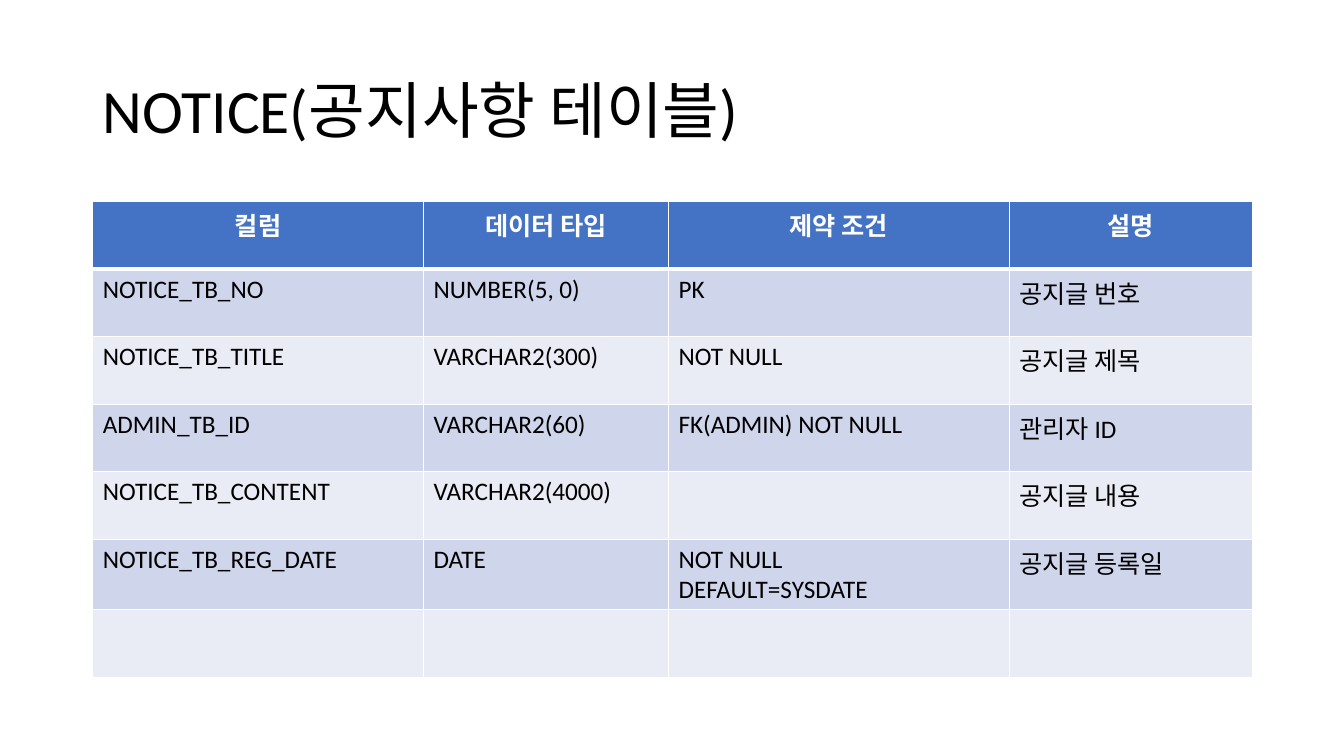
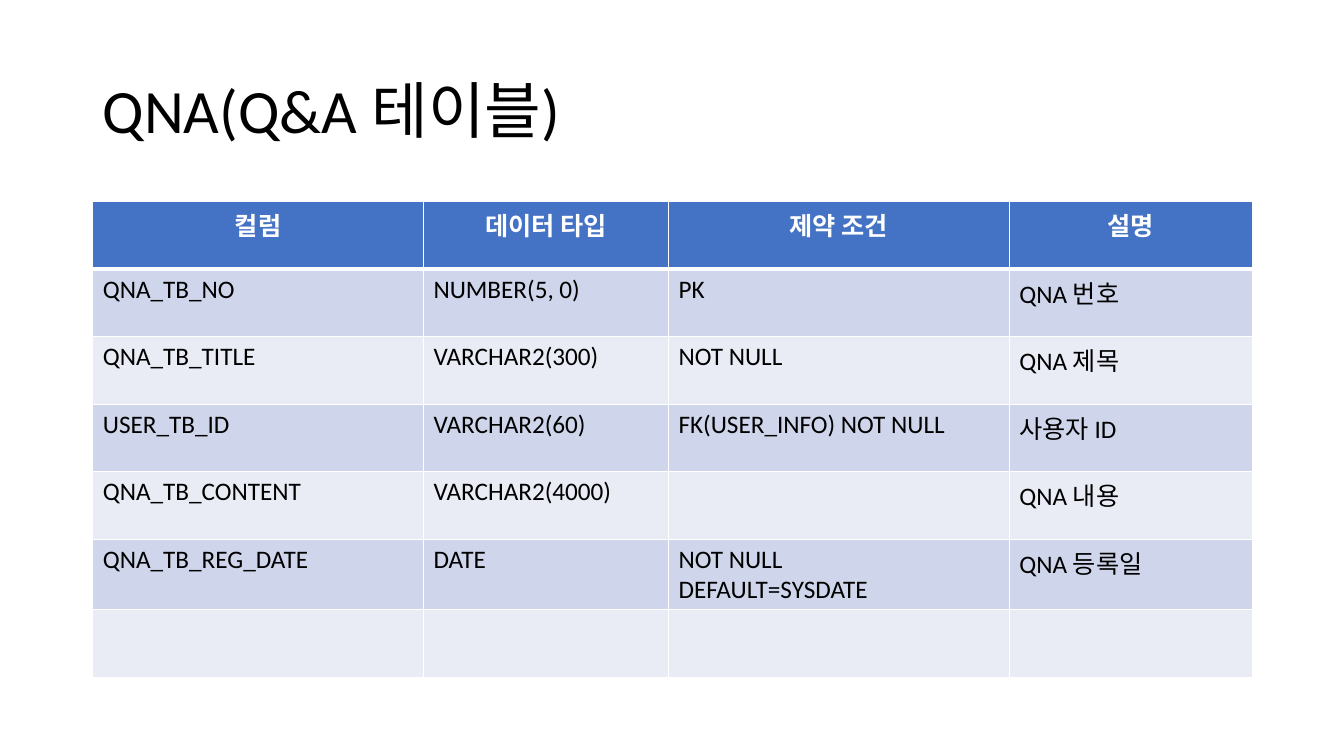
from lxml.etree import SubElement
from pptx import Presentation
from pptx.dml.color import RGBColor
from pptx.enum.text import MSO_ANCHOR as Anchor, PP_ALIGN as Align
from pptx.oxml.ns import qn
from pptx.util import Inches, Pt

# Shared style
FONT = "Calibri"
BLACK, WHITE = "000000", "FFFFFF"
HEADER_FILL = "4472C4"
BAND_FILLS = ("CFD5EA", "E9EBF5")
LEFT, WIDTH = 0.92, 11.5
COLUMN_WIDTHS = (3.28, 2.43, 3.38, 2.41)
ROW_HEIGHT = 0.67
THIN, THICK = 1, 3

# Content
HEADINGS = ("컬럼", "데이터 타입", "제약 조건", "설명")
EMPTY_ROW = ("",) * len(HEADINGS)


def board_rows(prefix, owner, owner_table, owner_label, subject):
    """Column definitions that every board table has in common."""
    return [
        (f"{prefix}_TB_NO", "NUMBER(5, 0)", "PK", f"{subject} 번호"),
        (f"{prefix}_TB_TITLE", "VARCHAR2(300)", "NOT NULL", f"{subject} 제목"),
        (f"{owner}_TB_ID", "VARCHAR2(60)", f"FK({owner_table}) NOT NULL",
         f"{owner_label} ID"),
        (f"{prefix}_TB_CONTENT", "VARCHAR2(4000)", "", f"{subject} 내용"),
        (f"{prefix}_TB_REG_DATE", "DATE", "NOT NULL\nDEFAULT=SYSDATE",
         f"{subject} 등록일"),
        EMPTY_ROW,
    ]


BOARDS = [
    ("NOTICE(공지사항 테이블)",
     board_rows("NOTICE", "ADMIN", "ADMIN", "관리자", "공지글")),
    ("QNA(Q&A 테이블)",
     board_rows("QNA", "USER", "USER_INFO", "사용자", "QNA")),
]


def rgb(color):
    return RGBColor.from_string(color)


def style_paragraph(paragraph, size, color, bold=False):
    font = paragraph.font
    font.name, font.size, font.bold = FONT, Pt(size), bold
    font.color.rgb = rgb(color)


def add_title(slide, text):
    title = slide.shapes.add_textbox(
        Inches(LEFT), Inches(0.4), Inches(WIDTH), Inches(1.45))
    frame = title.text_frame
    frame.word_wrap = True
    frame.vertical_anchor = Anchor.MIDDLE
    frame.text = text
    paragraph = frame.paragraphs[0]
    paragraph.line_spacing = 0.9
    style_paragraph(paragraph, 44, BLACK)


def set_borders(cell, top, bottom):
    properties = cell._tc.get_or_add_tcPr()
    sides = (("a:lnL", THIN), ("a:lnR", THIN), ("a:lnT", top), ("a:lnB", bottom))
    for tag, points in sides:
        line = SubElement(properties, qn(tag), w=str(Pt(points)))
        fill = SubElement(line, qn("a:solidFill"))
        SubElement(fill, qn("a:srgbClr"), val=WHITE)


def fill_cell(cell, text, row):
    is_header = row == 0
    # Borders must come before the fill in the cell properties
    set_borders(cell, THICK if row == 1 else THIN, THICK if is_header else THIN)
    cell.fill.solid()
    cell.fill.fore_color.rgb = rgb(
        HEADER_FILL if is_header else BAND_FILLS[(row - 1) % 2])
    cell.text = text
    for paragraph in cell.text_frame.paragraphs:
        paragraph.alignment = Align.CENTER if is_header else Align.LEFT
        style_paragraph(paragraph, 18, WHITE if is_header else BLACK, is_header)


def add_definition_table(slide, definitions):
    rows = [HEADINGS, *definitions]
    table = slide.shapes.add_table(
        len(rows), len(HEADINGS), Inches(LEFT), Inches(2),
        Inches(WIDTH), Inches(ROW_HEIGHT * len(rows))).table
    for column, width in zip(table.columns, COLUMN_WIDTHS):
        column.width = Inches(width)
    for r, texts in enumerate(rows):
        table.rows[r].height = Inches(ROW_HEIGHT)
        for c, text in enumerate(texts):
            fill_cell(table.cell(r, c), text, r)


def main():
    deck = Presentation()
    deck.slide_width, deck.slide_height = Inches(13.33), Inches(7.5)
    blank = deck.slide_layouts[6]
    for title, definitions in BOARDS:
        slide = deck.slides.add_slide(blank)
        add_title(slide, title)
        add_definition_table(slide, definitions)
    deck.save("out.pptx")


if __name__ == "__main__":
    main()
